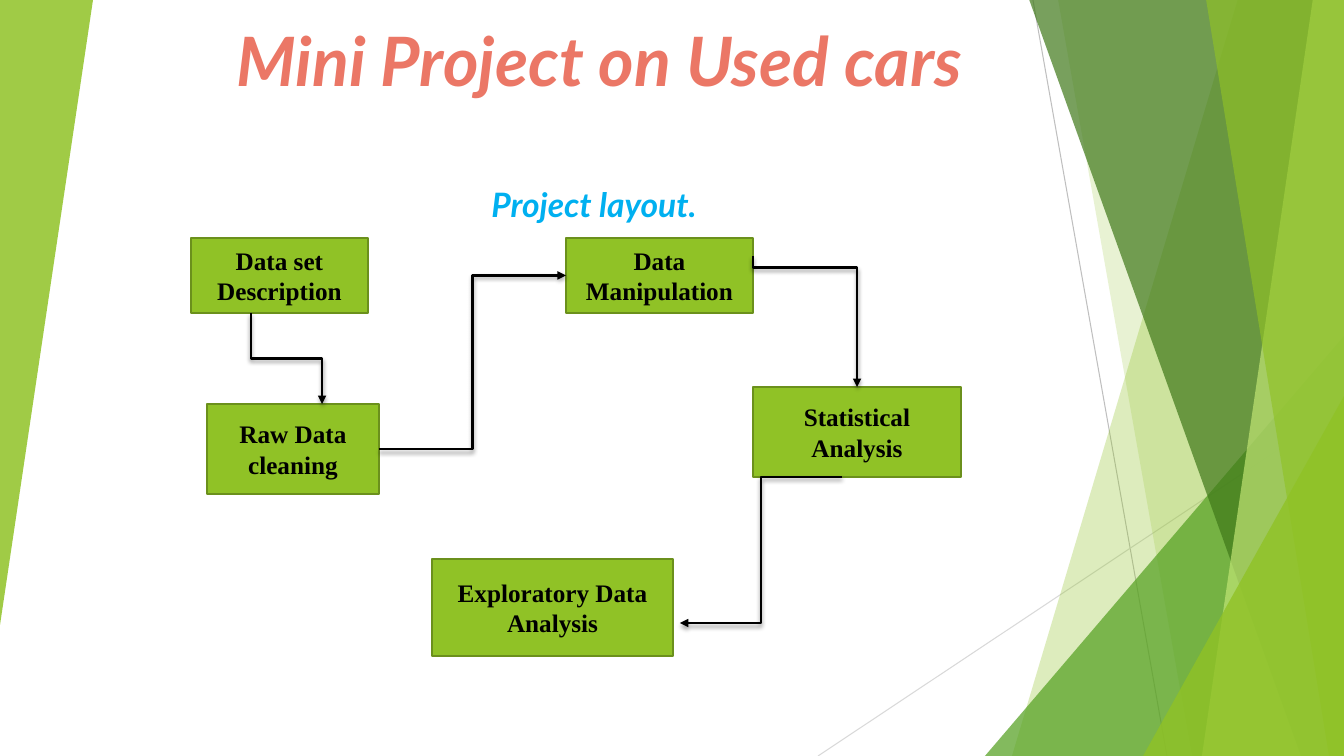
import pptx
import pptx.util
import pptx.dml.color
import pptx.enum.shapes
import pptx.enum.text
import pptx.oxml
import pptx.oxml.ns

PX = 914400 / 100.8
WIDE, HIGH = 1344, 756
NS = 'xmlns:a="http://schemas.openxmlformats.org/drawingml/2006/main"'
KIND = pptx.enum.shapes.MSO_SHAPE
LINK = pptx.enum.shapes.MSO_CONNECTOR
ANCHOR = pptx.enum.text.MSO_ANCHOR


def paint(fmt, tone, alpha=100):
    """Fill fmt with a solid hex colour at the given opacity percent."""
    fmt.solid()
    fmt.fore_color.rgb = pptx.dml.color.RGBColor.from_string(tone)
    if alpha < 100:
        node = fmt._xPr.find(".//" + pptx.oxml.ns.qn("a:srgbClr"))
        node.append(pptx.oxml.parse_xml(f'<a:alpha {NS} val="{alpha * 1000}"/>'))


def write(shape, text, anchor, tone, look):
    """Put centred text into shape, one paragraph a line."""
    frame = shape.text_frame
    frame.word_wrap = True
    frame.vertical_anchor = anchor
    frame.text = text
    for para in frame.paragraphs:
        para.alignment = pptx.enum.text.PP_ALIGN.CENTER
        font = para.runs[0].font
        paint(font.fill, tone)
        for key, value in look.items():
            setattr(font, key, value)


deck = pptx.Presentation()
deck.slide_width = round(WIDE * PX)
deck.slide_height = round(HIGH * PX)
shapes = deck.slides.add_slide(deck.slide_layouts[6]).shapes

# Thin background lines
for tone, *ends in [("BFBFBF", 1033, 0, 1167, HIGH), ("D9D9D9", WIDE, 406, 818, HIGH)]:
    line = shapes.add_connector(LINK.STRAIGHT, *[round(v * PX) for v in ends])
    paint(line.line.fill, tone)
    line.line.width = pptx.util.Pt(0.75)
    line._element.spPr.append(pptx.oxml.parse_xml(f"<a:effectLst {NS}/>"))

# Facets: a band runs from its top x and foot x to the right edge,
# a triangle has a box and a turn
facets = [
    ("90C226", 30, (1238, 1012)),
    ("90C226", 20, (1058, 1192)),
    ("54A021", 72, (985, 336, 359, 420, 0)),
    ("3F7819", 70, (1029, 1301)),
    ("C0E474", 70, (1313, 1202)),
    ("90C226", 65, (1206, 1329)),
    ("90C226", 80, (1143, 396, 201, 360, 0)),
    ("90C226", 85, (0, 0, 93, 625, 180)),
]
for tone, alpha, place in facets:
    if len(place) == 2:
        top, foot = place
        path = shapes.build_freeform(top, -1, scale=PX)
        path.add_line_segments([(WIDE, -1), (WIDE, HIGH), (foot, HIGH)], close=True)
        facet = path.convert_to_shape()
    else:
        *box, turn = place
        facet = shapes.add_shape(KIND.ISOSCELES_TRIANGLE, *[round(v * PX) for v in box])
        facet.adjustments[0] = 1
        facet.rotation = turn
    facet.shadow.inherit = False
    facet.line.fill.background()
    paint(facet.fill, tone, alpha)

# Headings
heads = [
    ("Mini Project on Used cars", 48.6, "EB7766", ANCHOR.BOTTOM, (87, 15, 1024, 90)),
    ("Project layout.", 24, "00B0F0", ANCHOR.TOP, (166, 179, 856, 497)),
]
for text, size, tone, anchor, box in heads:
    head = shapes.add_textbox(*[round(v * PX) for v in box])
    look = {"name": "Lato", "size": pptx.util.Pt(size), "bold": True, "italic": True}
    write(head, text, anchor, tone, look)

# Project steps
steps = [
    ("Data set Description", 191, 238, 177, 75),
    ("Raw Data cleaning", 207, 404, 172, 90),
    ("Data Manipulation", 566, 238, 187, 75),
    ("Statistical\nAnalysis", 753, 387, 208, 90),
    ("Exploratory Data Analysis", 432, 559, 241, 97),
]
look = {"name": "Times New Roman", "size": pptx.util.Pt(18), "bold": True}
cards = []
for text, *box in steps:
    card = shapes.add_shape(KIND.RECTANGLE, *[round(v * PX) for v in box])
    card.shadow.inherit = False
    paint(card.fill, "90C226")
    paint(card.line.fill, "6B901C")
    card.line.width = pptx.util.Pt(1.5)
    write(card, text, ANCHOR.MIDDLE, "000000", look)
    cards.append(card)

# Elbow arrows: start, end, leaves downwards, place of the bend
arrows = [
    (379, 449, 566, 276, False, 0.5),
    (251, 313, 322, 404, True, 0.5),
    (753, 256, 857, 387, True, 0.09),
    (842, 477, 680, 623, False, 0.5),
]
links = []
for x1, y1, x2, y2, down, bend in arrows:
    ends = x1, y1, x2, y2
    if down:
        # a quarter turn about the middle swaps width and height
        midx, midy = (x1 + x2) / 2, (y1 + y2) / 2
        dx, dy = (x2 - x1) / 2, (y2 - y1) / 2
        ends = midx + dy, midy - dx, midx - dy, midy + dx
    link = shapes.add_connector(LINK.ELBOW, *[round(v * PX) for v in ends])
    props = link._element.spPr
    if down:
        props.find(pptx.oxml.ns.qn("a:xfrm")).set("rot", "16200000")
    guides = props.find(pptx.oxml.ns.qn("a:prstGeom")).get_or_add_avLst()
    guides.append(pptx.oxml.parse_xml(
        f'<a:gd {NS} name="adj1" fmla="val {round(bend * 100000)}"/>'))
    paint(link.line.fill, "000000")
    link.line.width = pptx.util.Pt(2)
    link.line._ln.append(pptx.oxml.parse_xml(f'<a:tailEnd {NS} type="triangle"/>'))
    props.append(pptx.oxml.parse_xml(
        f'<a:effectLst {NS}><a:outerShdw blurRad="38100" dist="25400" dir="5400000" '
        'rotWithShape="0"><a:srgbClr val="000000"><a:alpha val="35000"/></a:srgbClr>'
        '</a:outerShdw></a:effectLst>'))
    links.append(link)
links[0].begin_connect(cards[1], 3)
links[0].end_connect(cards[2], 1)

deck.save("out.pptx")
